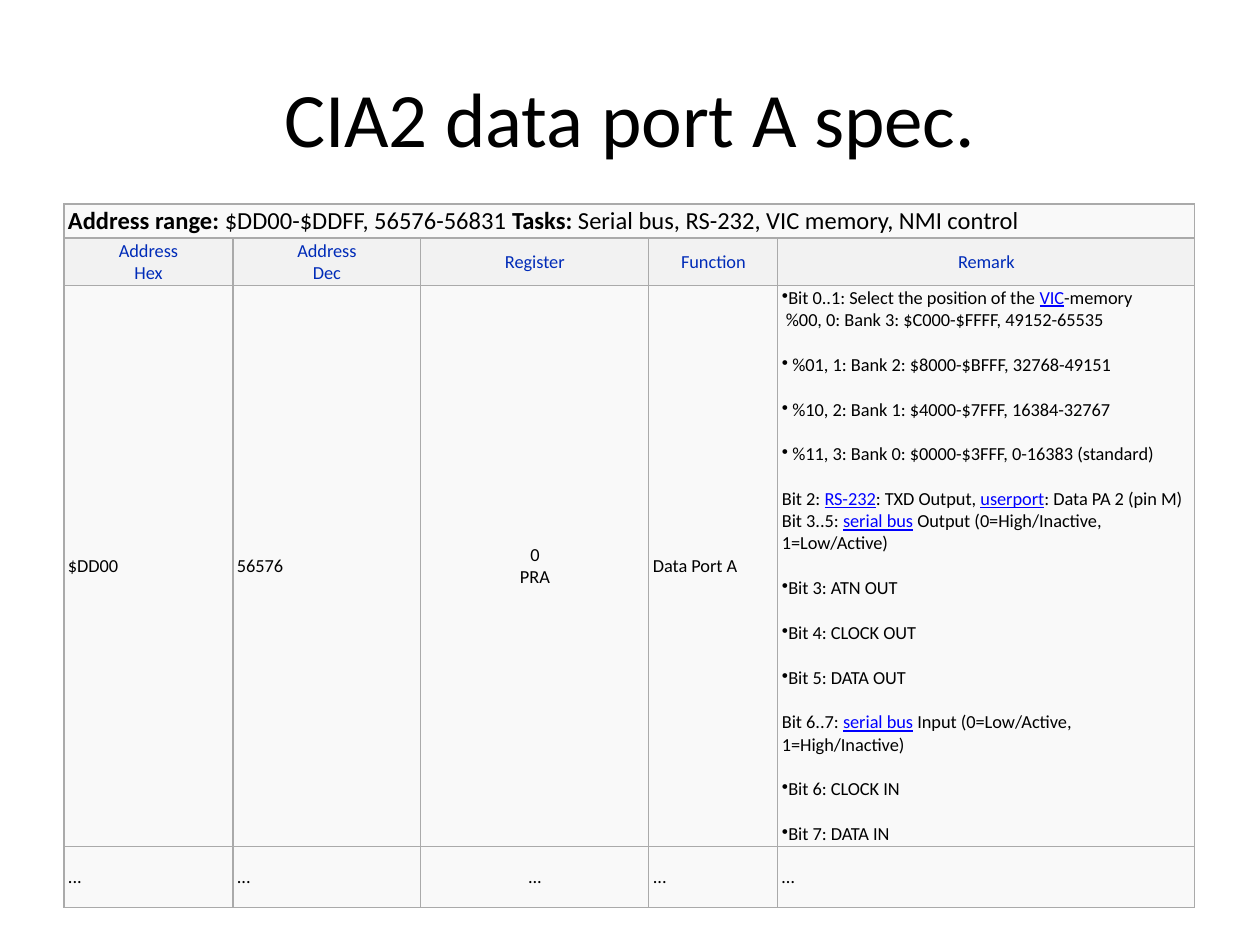
from copy import deepcopy
from dataclasses import dataclass

from lxml import etree
from pptx import Presentation
from pptx import util as u
from pptx.dml.color import RGBColor
from pptx.enum import text
from pptx.oxml import ns

BLACK = RGBColor(0x00, 0x00, 0x00)
HEAD = RGBColor(0x00, 0x2B, 0xB8)
LINK = RGBColor(0x00, 0x00, 0xFF)
PALE = RGBColor(0xF9, 0xF9, 0xF9)
GREY = RGBColor(0xF2, 0xF2, 0xF2)
EDGE = RGBColor(0xAA, 0xAA, 0xAA)
FONT = "Calibri"
SMALL = 10.5
GAP = 12.8  # one blank line of small text, in points


@dataclass
class Run:
    text: str
    bold: bool = False
    link: bool = False


@dataclass
class Para:
    runs: list[Run]
    dot: bool = False
    gap: float = 0


@dataclass
class Cell:
    paras: list[Para]
    size: float = SMALL
    color: RGBColor = BLACK
    fill: RGBColor = PALE
    mid: bool = False


def px(num: int) -> u.Emu:
    return u.Emu(round(num * 914400 / 126))


def plain(line: str, **look) -> Cell:
    return Cell([Para([Run(line)])], **look)


def item(line: str, gap: float = GAP) -> Para:
    return Para([Run(line)], True, gap)


def add_run(par, run: Run, size: float, color: RGBColor) -> None:
    """Add a run, with a line break at each newline."""
    for num, part in enumerate(run.text.split("\n")):
        if num:
            par.add_line_break()
            par._p[-1].append(deepcopy(par.runs[-1]._r.rPr))
        new = par.add_run()
        new.text = part
        font = new.font
        font.name, font.size, font.bold = FONT, u.Pt(size), run.bold
        font.color.rgb = LINK if run.link else color
        if run.link:
            font.underline = True


def add_dot(par) -> None:
    props = par._p.get_or_add_pPr()
    props.set("marL", "0")
    props.set("indent", "0")
    etree.SubElement(props, ns.qn("a:buChar"), char="•")


def add_edges(cell) -> None:
    props = cell._tc.get_or_add_tcPr()
    for side in "LRTB":
        line = etree.SubElement(props, ns.qn(f"a:ln{side}"), w=str(u.Pt(0.75)))
        fill = etree.SubElement(line, ns.qn("a:solidFill"))
        etree.SubElement(fill, ns.qn("a:srgbClr"), val=str(EDGE))


def draw_cell(cell, data: Cell) -> None:
    add_edges(cell)
    cell.fill.solid()
    cell.fill.fore_color.rgb = data.fill
    cell.vertical_anchor = text.MSO_ANCHOR.MIDDLE
    cell.margin_left = cell.margin_right = px(4)
    cell.margin_top = cell.margin_bottom = px(1)
    frame = cell.text_frame
    for num, para in enumerate(data.paras):
        par = frame.add_paragraph() if num else frame.paragraphs[0]
        par.alignment = text.PP_ALIGN.CENTER if data.mid else text.PP_ALIGN.LEFT
        if para.gap:
            par.space_after = u.Pt(para.gap)
        if para.dot:
            add_dot(par)
        for run in para.runs:
            add_run(par, run, data.size, data.color)


# Table content
RANGE = Cell([Para([
    Run("Address range:", bold=True),
    Run(" $DD00-$DDFF, 56576-56831 "),
    Run("Tasks:", bold=True),
    Run(" Serial bus, RS-232, VIC memory, NMI control"),
])], size=14)

REMARK = Cell([
    Para([Run("Bit 0..1: Select the position of the "), Run("VIC", link=True),
          Run("-memory\n %00, 0: Bank 3: $C000-$FFFF, 49152-65535")], True, GAP),
    item(" %01, 1: Bank 2: $8000-$BFFF, 32768-49151"),
    item(" %10, 2: Bank 1: $4000-$7FFF, 16384-32767"),
    item(" %11, 3: Bank 0: $0000-$3FFF, 0-16383 (standard)"),
    Para([Run("Bit 2: "), Run("RS-232", link=True), Run(": TXD Output, "),
          Run("userport", link=True), Run(": Data PA 2 (pin M)\nBit 3..5: "),
          Run("serial bus", link=True),
          Run(" Output (0=High/Inactive, 1=Low/Active)")], gap=GAP),
    item("Bit 3: ATN OUT"),
    item("Bit 4: CLOCK OUT"),
    item("Bit 5: DATA OUT"),
    Para([Run("Bit 6..7: "), Run("serial bus", link=True),
          Run(" Input (0=Low/Active, 1=High/Inactive)")], gap=GAP),
    item("Bit 6: CLOCK IN"),
    item("Bit 7: DATA IN", gap=0),
])

NAMES = ["Address\nHex", "Address\nDec", "Register", "Function", "Remark"]
ROWS = [
    [RANGE] + [Cell([]) for _ in NAMES[1:]],
    [plain(name, color=HEAD, fill=GREY, mid=True) for name in NAMES],
    [plain("$DD00"), plain("56576"), plain("0\nPRA", mid=True),
     plain("Data Port A"), REMARK],
    [plain("...", mid=num == 2) for num in range(4)] + [plain("…")],
]
WIDE = [169, 188, 228, 129, 417]
HIGH = [34, 48, 560, 61]


def main() -> None:
    deck = Presentation()
    deck.slide_width, deck.slide_height = px(1260), px(945)
    slide = deck.slides.add_slide(deck.slide_layouts[5])

    # Title
    title = slide.shapes.title
    title.left, title.top, title.width, title.height = map(px, (63, 38, 1134, 158))
    title.text_frame.vertical_anchor = text.MSO_ANCHOR.MIDDLE
    par = title.text_frame.paragraphs[0]
    par.alignment = text.PP_ALIGN.CENTER
    add_run(par, Run("CIA2 data port A spec."), 44, BLACK)

    # Register table
    table = slide.shapes.add_table(
        len(ROWS), len(WIDE), px(64), px(204), px(sum(WIDE)), px(sum(HIGH))).table
    table.first_row = table.horz_banding = False
    for col, wide in zip(table.columns, WIDE):
        col.width = px(wide)
    for row, high, cells in zip(table.rows, HIGH, ROWS):
        row.height = px(high)
        for cell, data in zip(row.cells, cells):
            draw_cell(cell, data)
    table.cell(0, 0).merge(table.cell(0, len(WIDE) - 1))

    deck.save("out.pptx")


if __name__ == "__main__":
    main()
